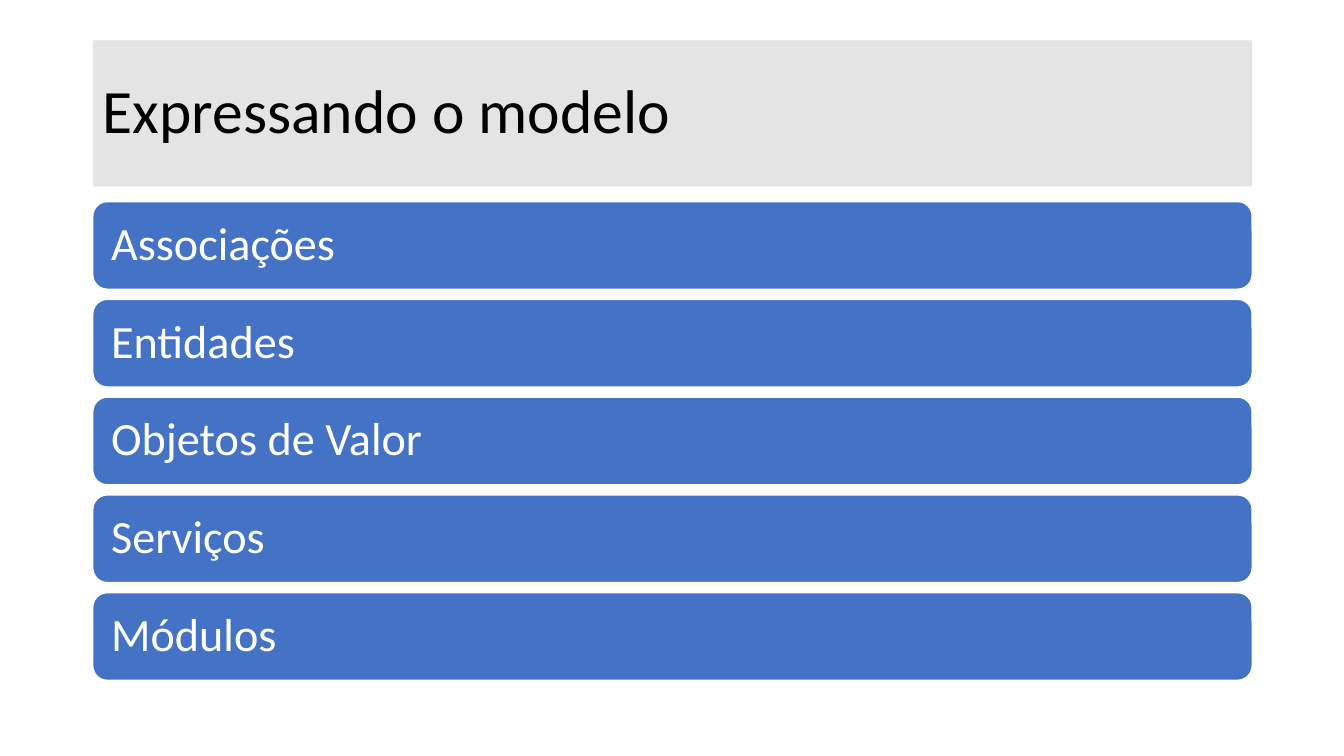
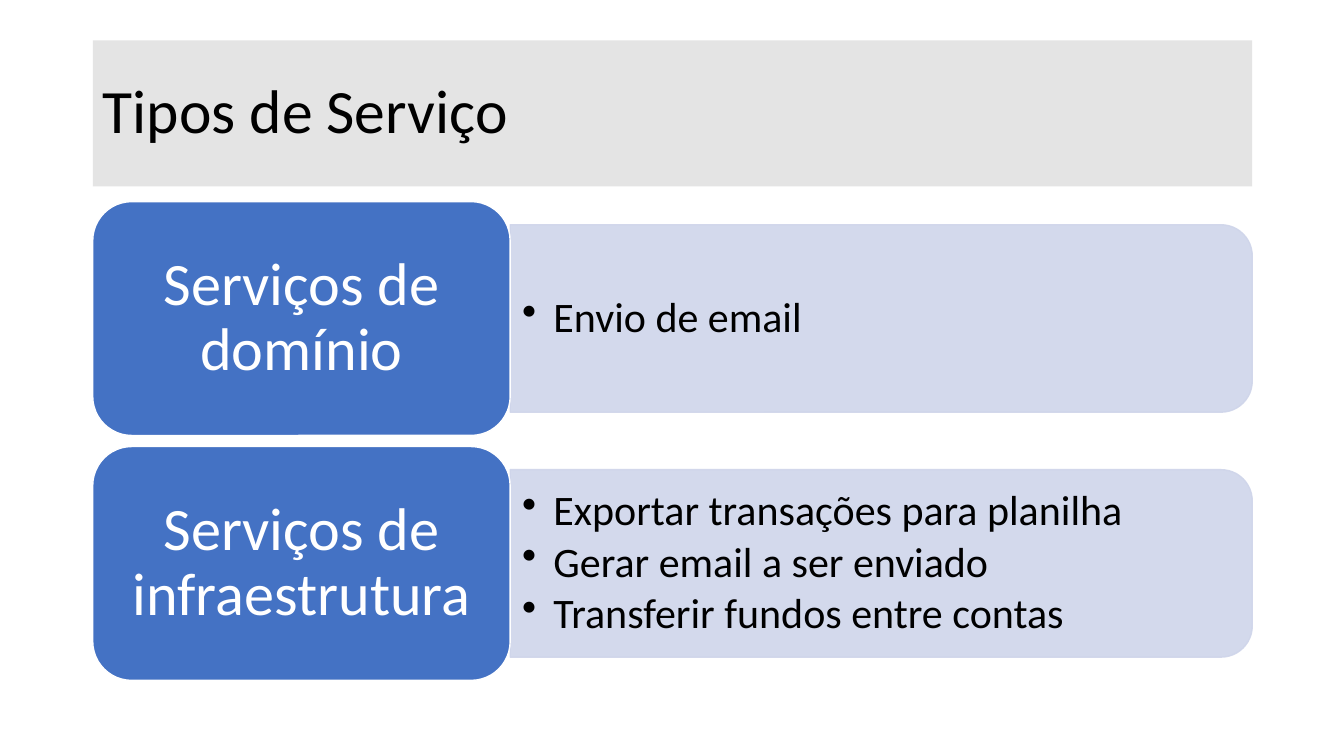
from lxml import etree
from pptx import Presentation
from pptx.dml.color import RGBColor
from pptx.enum.shapes import MSO_SHAPE
from pptx.enum.text import MSO_ANCHOR, PP_ALIGN
from pptx.oxml.ns import qn
from pptx.util import Pt

PX = 9144  # 100 px to the inch
FONT = "Calibri"
BLACK, WHITE = "000000", "FFFFFF"
GRAY, BLUE, PALE_BLUE = "D9D9D9", "4472C4", "CFD5EA"
LEFT, WIDTH = 92, 1150
BODY_TOP = 200


def paint(shape, fill, line=None, opacity=100):
    """Set fill and outline; opacity, in percent, applies to both."""
    shape.fill.solid()
    shape.fill.fore_color.rgb = RGBColor.from_string(fill)
    if line:
        shape.line.color.rgb = RGBColor.from_string(line)
        shape.line.width = Pt(1)
    else:
        shape.line.fill.background()
    if opacity < 100:
        for color in shape._element.spPr.iter(qn("a:srgbClr")):
            etree.SubElement(color, qn("a:alpha"), val=str(opacity * 1000))


def write(shape, text, size, color, margins, align=PP_ALIGN.LEFT):
    """Fill a shape with vertically centred text; margins are (side, top and bottom) in px."""
    frame = shape.text_frame
    frame.text = text
    frame.word_wrap = True
    frame.vertical_anchor = MSO_ANCHOR.MIDDLE
    side, edge = margins
    frame.margin_left = frame.margin_right = side * PX
    frame.margin_top = frame.margin_bottom = edge * PX
    for paragraph in frame.paragraphs:
        paragraph.alignment = align
        paragraph.line_spacing = 0.9
        for run in paragraph.runs:
            run.font.name = FONT
            run.font.size = Pt(size)
            run.font.color.rgb = RGBColor.from_string(color)


prs = Presentation()
prs.slide_width, prs.slide_height = 1333 * PX, 750 * PX

slides = []
for heading in ("Expressando o modelo", "Tipos de Serviço"):
    slide = prs.slides.add_slide(prs.slide_layouts[5])
    title = slide.shapes.title
    title.left, title.top = LEFT * PX, 40 * PX
    title.width, title.height = WIDTH * PX, 145 * PX
    paint(title, GRAY, opacity=70)
    write(title, heading, 44, BLACK, (10, 5))
    slides.append(slide)
model_slide, services_slide = slides

# Building blocks of the model
BAR_HEIGHT, BAR_PITCH = 87, 97
building_blocks = ["Associações", "Entidades", "Objetos de Valor", "Serviços", "Módulos"]
for row, block in enumerate(building_blocks):
    bar = model_slide.shapes.add_shape(
        MSO_SHAPE.ROUNDED_RECTANGLE,
        LEFT * PX, (BODY_TOP + row * BAR_PITCH) * PX, WIDTH * PX, BAR_HEIGHT * PX)
    bar.shadow.inherit = False
    paint(bar, BLUE, WHITE)
    write(bar, block, 33, WHITE, (14, 14))

# Service types with their examples
LABEL_WIDTH, LABEL_HEIGHT, LABEL_PITCH = 414, 232, 243
PANEL_LEFT, PANEL_WIDTH, PANEL_HEIGHT = LEFT + LABEL_WIDTH, WIDTH - LABEL_WIDTH, 186
BULLET_INDENT = 31
service_types = [
    ("Serviços de domínio", ["Envio de email"]),
    ("Serviços de infraestrutura", [
        "Exportar transações para planilha",
        "Gerar email a ser enviado",
        "Transferir fundos entre contas",
    ]),
]
for row, (service_type, examples) in enumerate(service_types):
    label_top = BODY_TOP + row * LABEL_PITCH
    panel_top = label_top + (LABEL_HEIGHT - PANEL_HEIGHT) // 2

    # The panel is drawn upright around its centre, then turned to round its right side
    turn_shift = (PANEL_WIDTH - PANEL_HEIGHT) // 2
    panel = services_slide.shapes.add_shape(
        MSO_SHAPE.ROUND_2_SAME_RECTANGLE,
        (PANEL_LEFT + turn_shift) * PX, (panel_top - turn_shift) * PX,
        PANEL_HEIGHT * PX, PANEL_WIDTH * PX)
    panel.rotation = 90
    panel.shadow.inherit = False
    paint(panel, PALE_BLUE, PALE_BLUE, opacity=90)

    example_list = services_slide.shapes.add_textbox(
        PANEL_LEFT * PX, (panel_top + 9) * PX, (PANEL_WIDTH - 9) * PX, (PANEL_HEIGHT - 18) * PX)
    write(example_list, "\n".join(examples), 30, BLACK, (12, 6))
    for paragraph in example_list.text_frame.paragraphs:
        properties = paragraph._p.get_or_add_pPr()
        properties.set("marL", str(BULLET_INDENT * PX))
        properties.set("indent", str(-BULLET_INDENT * PX))
        etree.SubElement(properties, qn("a:buChar"), char="•")
        paragraph.space_after = Pt(4.5)

    label = services_slide.shapes.add_shape(
        MSO_SHAPE.ROUNDED_RECTANGLE,
        LEFT * PX, label_top * PX, LABEL_WIDTH * PX, LABEL_HEIGHT * PX)
    label.shadow.inherit = False
    paint(label, BLUE, WHITE)
    write(label, service_type, 43, WHITE, (18, 9), PP_ALIGN.CENTER)

prs.save("out.pptx")
